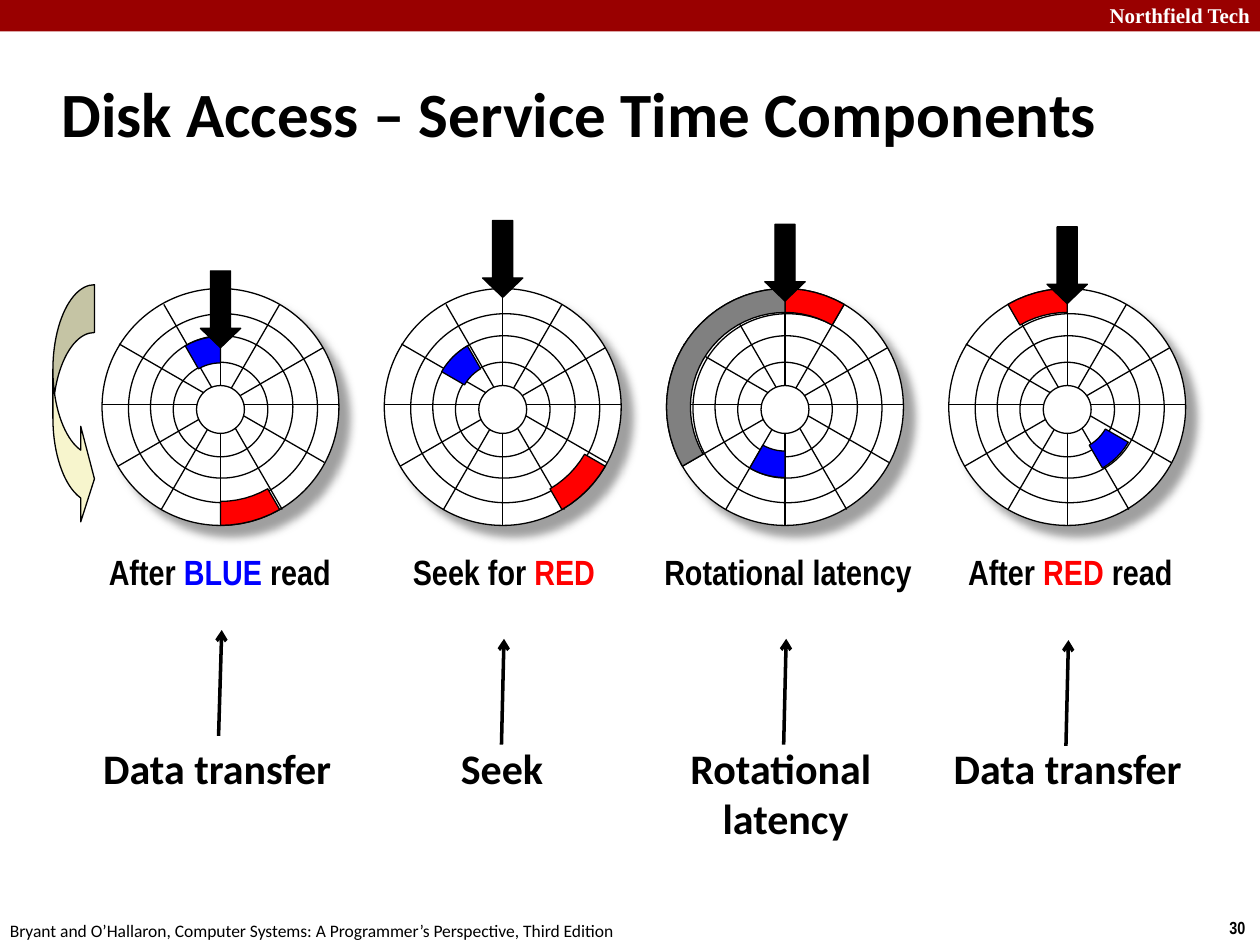
"""Build a slide on the parts of disk access time, with four disks in a row."""
from math import cos, radians, sin

from lxml.etree import SubElement
from pptx import Presentation
from pptx.dml.color import RGBColor as RGB
from pptx.enum.shapes import MSO_CONNECTOR as LINK, MSO_SHAPE as FORM
from pptx.enum.text import MSO_ANCHOR as ANCHOR, PP_ALIGN as ALIGN
from pptx.oxml.ns import qn
from pptx.util import Inches, Pt

BLACK = RGB(0, 0, 0)
WHITE = RGB(255, 255, 255)
RED = RGB(255, 0, 0)
BLUE = RGB(0, 0, 255)
GRAY = RGB(128, 128, 128)
MAROON = RGB(153, 0, 0)
CREAM = RGB(247, 245, 205)


def write(text, box, shape=None, font="Calibri", size=24, bold=True, color=BLACK,
          align=ALIGN.LEFT, wrap=True, key=None, hue=None):
    box = [Inches(n) for n in box]
    if shape is None:
        shape = slide.shapes.add_textbox(*box)
    shape.left, shape.top, shape.width, shape.height = box
    frame = shape.text_frame
    frame.word_wrap = wrap
    for row, line in enumerate(text.split("\n")):
        para = frame.add_paragraph() if row else frame.paragraphs[0]
        para.alignment = align
        for part in line.partition(key) if key else [line]:
            if part:
                run = para.add_run()
                run.text = part
                run.font.name, run.font.size, run.font.bold = font, Pt(size), bold
                run.font.color.rgb = hue if part == key else color
    return shape


def style(shape, fill=None, width=0.75):
    if fill is not None:
        shape.fill.solid()
        shape.fill.fore_color.rgb = fill
    if width:
        shape.line.color.rgb = BLACK
        shape.line.width = Pt(width)
    else:
        shape.line.fill.background()
    return SubElement(shape._element.spPr, qn("a:effectLst"))


deck = Presentation()
deck.slide_width, deck.slide_height = Inches(10), Inches(7.5)
slide = deck.slides.add_slide(deck.slide_layouts[5])

bar = slide.shapes.add_shape(FORM.RECTANGLE, 0, 0, Inches(10), Inches(0.25))
style(bar, MAROON, 0)
write("Northfield Tech", (8.64, -0.03, 1.38, 0.3), font="Times New Roman", size=12,
      color=WHITE, align=ALIGN.RIGHT)
write("30", (9.66, 7.23, 0.34, 0.27), font="Arial Narrow", size=10, wrap=False)
write("Bryant and O’Hallaron, Computer Systems: A Programmer’s Perspective, Third Edition",
      (-0.02, 7.25, 5.08, 0.27), size=10, bold=False, wrap=False)
title = write("Disk Access – Service Time Components", (0.39, 0.48, 8.85, 0.83),
              shape=slide.shapes.title, size=36)
title.text_frame.vertical_anchor = ANCHOR.MIDDLE

MID, STEP = 3.23, 2.24
RINGS = [(0.94, 0, 0), (0.75, 0.02, 0.01), (0.565, 0.01, 0), (0.375, 0, 0.02)]
HUB = (0.19, 0, 0.02)
SPOKES = [(0, 0, 0), (30, 0, 0), (60, 0, 0), (90, 0, -0.02), (120, 0.01, -0.03), (150, 0.02, 0)]
OUTER, INNER = (0.94, 0.75), (0.56, 0.35)
DISKS = [
    (2.15, [(BLUE, INNER, 330, 360), (RED, OUTER, 150, 180)]),
    (1.75, [(RED, OUTER, 120, 150), (BLUE, INNER, 300, 330)]),
    (1.78, [(RED, OUTER, 0, 30), (BLUE, INNER, 180, 210), (GRAY, OUTER, 240, 360)]),
    (1.80, [(RED, OUTER, 330, 360), (BLUE, INNER, 120, 150)]),
]
for col, (top, parts) in enumerate(DISKS):
    mid = 1.75 + col * STEP
    disk = slide.shapes.add_group_shape().shapes
    for rad, dx, dy in RINGS:
        ring = disk.add_shape(FORM.OVAL, Inches(mid + dx - rad), Inches(MID + dy - rad),
                              Inches(2 * rad), Inches(2 * rad))
        glow = style(ring, WHITE)
        if rad == 0.94:
            shade = SubElement(glow, qn("a:outerShdw"), blurRad=str(Pt(5)), dist=str(Pt(8.5)),
                               dir="2700000", algn="ctr", rotWithShape="0")
            tint = SubElement(shade, qn("a:srgbClr"), val=str(GRAY))
            SubElement(tint, qn("a:alpha"), val="75000")
    for turn, dx, dy in SPOKES:
        run, rise = 0.94 * sin(radians(turn)), 0.94 * cos(radians(turn))
        spoke = disk.add_connector(LINK.STRAIGHT, Inches(mid + dx + run), Inches(MID + dy - rise),
                                   Inches(mid + dx - run), Inches(MID + dy + rise))
        style(spoke)
    rad, dx, dy = HUB
    hub = disk.add_shape(FORM.OVAL, Inches(mid + dx - rad), Inches(MID + dy - rad),
                         Inches(2 * rad), Inches(2 * rad))
    style(hub, WHITE)
    for color, (far, near), start, stop in parts:
        turns = range(start, stop + 1, 5)
        rim = [(far, turn) for turn in turns] + [(near, turn) for turn in reversed(turns)]
        dots = [(Inches(mid + rad * sin(radians(turn))), Inches(MID - rad * cos(radians(turn))))
                for rad, turn in rim]
        pen = disk.build_freeform(*dots[0])
        pen.add_line_segments(dots[1:], close=True)
        style(pen.convert_to_shape(), color)
    head = disk.add_shape(FORM.DOWN_ARROW, Inches(mid - 0.16), Inches(top),
                          Inches(0.32), Inches(0.61))
    head.adjustments[0], head.adjustments[1] = 0.5, 0.48
    style(head, BLACK)

spin = slide.shapes.add_shape(FORM.CURVED_RIGHT_ARROW, Inches(0.42), Inches(2.26),
                              Inches(0.33), Inches(1.92))
for num, size in enumerate((1.15, 2.3, 0.33)):
    spin.adjustments[num] = size
style(spin, CREAM)

STATES = [
    ("After BLUE read", 0.58, 2.33, "BLUE", BLUE),
    ("Seek for RED", 3, 2, "RED", RED),
    ("Rotational latency", 4.92, 2.67, None, None),
    ("After RED read", 7.33, 2.33, "RED", RED),
]
for text, left, width, key, hue in STATES:
    write(text, (left, 4.32, width, 0.43), font="Arial Narrow", size=20,
          align=ALIGN.CENTER, key=key, hue=hue)

PHASES = [
    ("Data transfer", 0.72, 2.03, 0.5, 5.84),
    ("Seek", 3.56, 0.86, 0.5, 5.91),
    ("Rotational \nlatency", 5.33, 1.81, 0.91, 5.91),
    ("Data transfer", 7.47, 2.03, 0.5, 5.92),
]
for col, (text, left, width, high, foot) in enumerate(PHASES):
    wide = "\n" in text
    label = write(text, (left, 5.84, width, high), wrap=wide,
                  align=ALIGN.CENTER if wide else ALIGN.LEFT)
    mid = 1.74 + col * STEP
    arrow = slide.shapes.add_connector(LINK.STRAIGHT, Inches(mid), Inches(foot),
                                       Inches(mid + 0.02), Inches(foot - 0.84))
    if foot == 5.84:
        arrow.begin_connect(label, 0)
    style(arrow, width=2)
    SubElement(arrow._element.spPr.find(qn("a:ln")), qn("a:tailEnd"), type="arrow")

deck.save("out.pptx")
